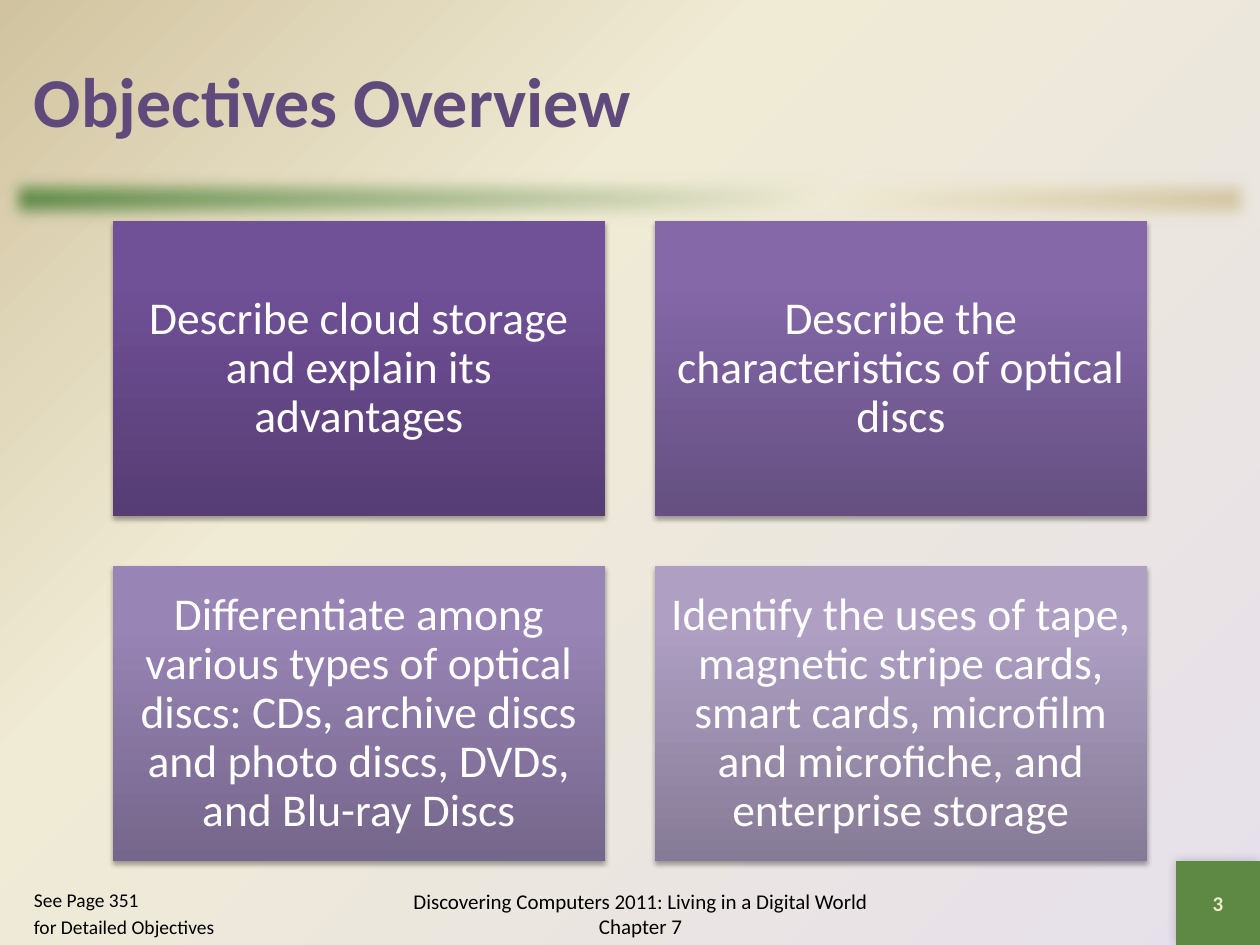
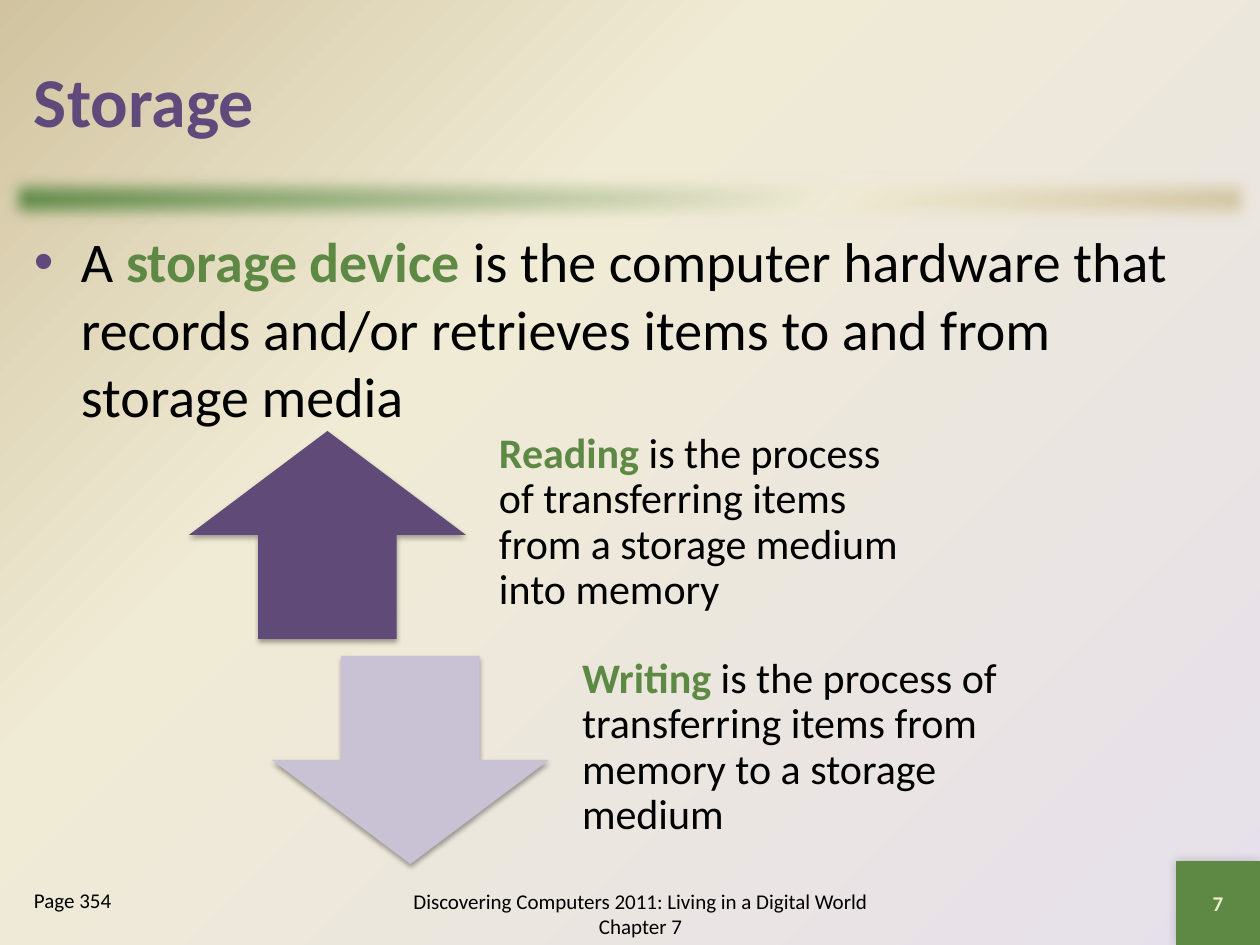
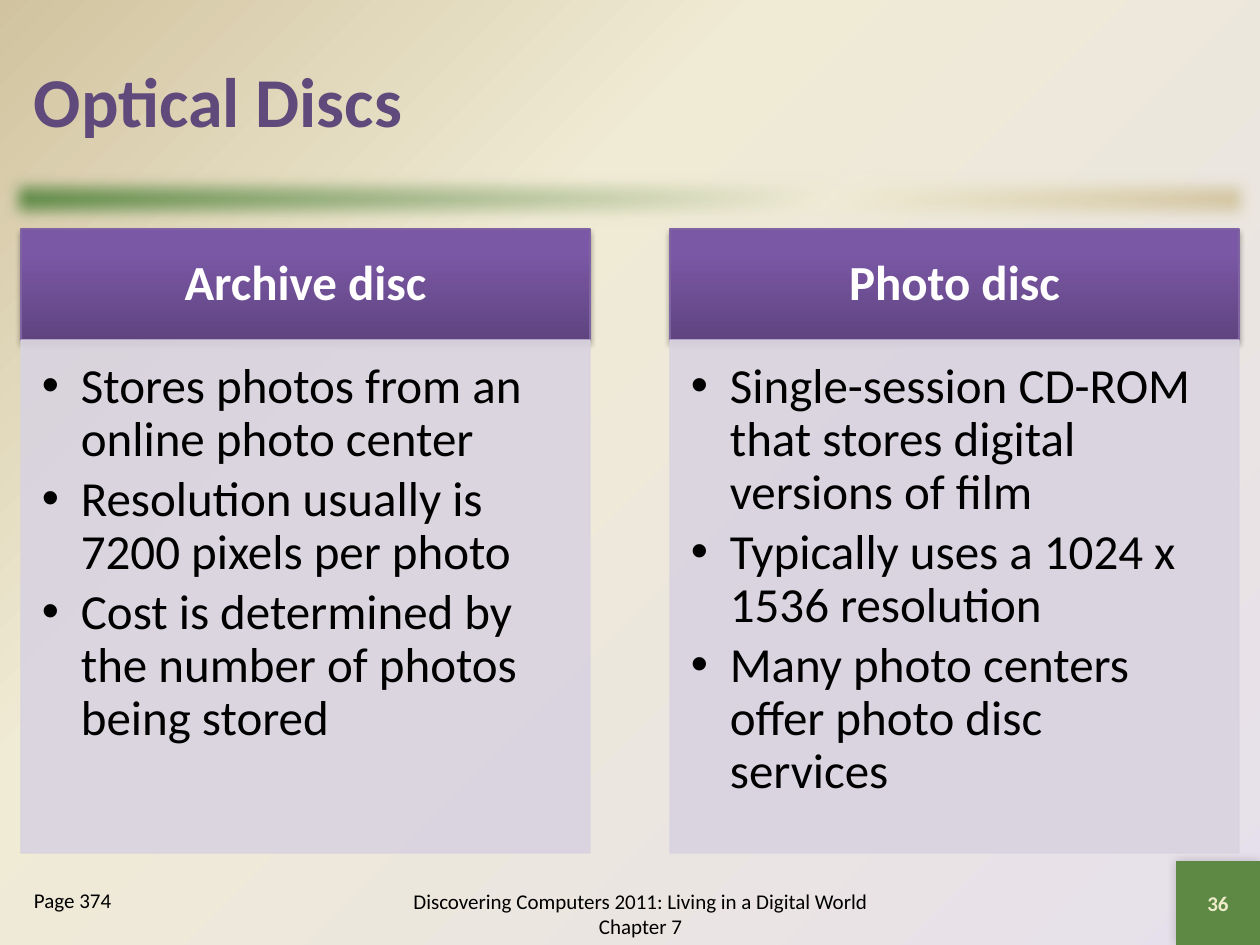
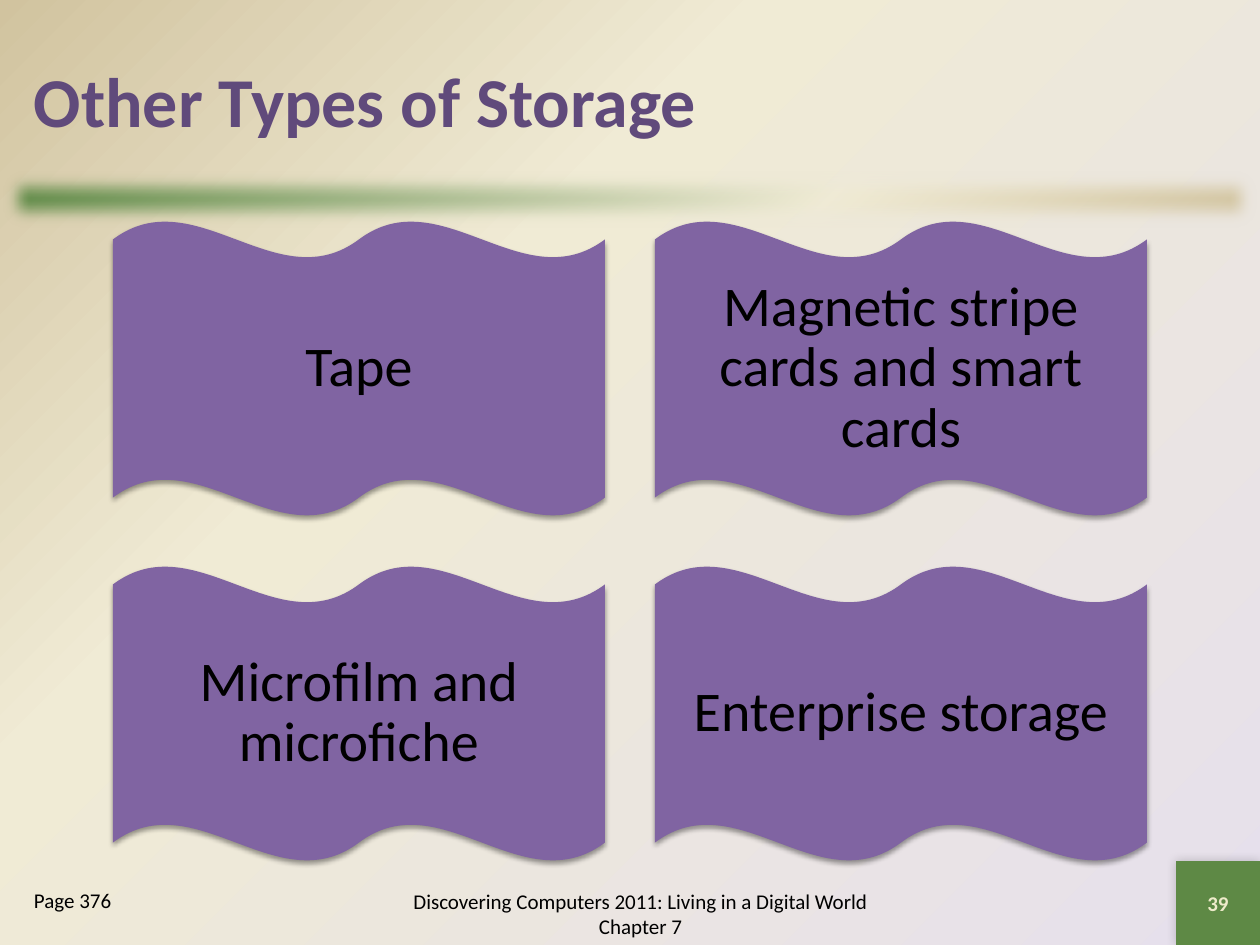
from dataclasses import dataclass

from pptx import Presentation
from pptx.dml.color import RGBColor
from pptx.enum.shapes import MSO_SHAPE as Kind
from pptx.enum.text import MSO_ANCHOR as Anchor, PP_ALIGN as Align
from pptx.oxml import parse_xml
from pptx.oxml.ns import nsdecls, qn
from pptx.util import Emu, Pt


# Colours, type sizes and spacing
@dataclass(frozen=True)
class Theme:
    font: str = "Calibri"
    black: str = "000000"
    white: str = "FFFFFF"
    cream: str = "EEEBCA"
    green: str = "5E8945"
    plum: str = "604A7B"
    wave: str = "8064A2"
    dark: str = "5F4A78"
    pale: str = "C9C2D4"
    panel: str = "D8D3E0"
    page: tuple = ((0, "E6E0EC"), (65, "F0EBD5"), (100, "D1C39F"))
    band: tuple = ((0, "5E8945"), (65, "F0EBD5"), (100, "D1C39F"))
    head: tuple = ((0, "5F4480"), (80, "7B58A6"), (100, "7C57A8"))
    tiles: tuple = (
        ((0, "563D74"), (80, "705097"), (100, "704F99")),
        ((0, "655081"), (80, "8468A8"), (100, "8467AA")),
        ((0, "75668B"), (80, "9884B5"), (100, "9984B7")),
        ((0, "867B96"), (80, "AE9FC3"), (100, "AE9FC4")),
    )
    title: int = 40
    body: int = 32
    list: int = 28
    tile: int = 26
    label: int = 24
    small: int = 12
    note: float = 11.1
    tight: float = 0.9


T = Theme()
SCALE = 914400 / 126
BOOK = "Discovering Computers 2011: Living in a Digital World Chapter 7"
UP = '<a:lin ang="16200000" scaled="0"/>'
SLANT = '<a:lin ang="2700000" scaled="0"/>'
CORNER = ('<a:path path="circle"><a:fillToRect l="100000" t="100000"/></a:path>'
          '<a:tileRect r="-100000" b="-100000"/>')


def px(num):
    return Emu(round(num * SCALE))


def rgb(code):
    return RGBColor.from_string(code)


# Fills and effects
def blend(fill, root, stops, course):
    fill.gradient()
    old = next(root.iter(qn("a:gradFill")))
    marks = "".join(
        f'<a:gs pos="{pos * 1000}"><a:srgbClr val="{tint}"/></a:gs>'
        for pos, tint in stops)
    new = parse_xml(f'<a:gradFill {nsdecls("a")} rotWithShape="1">'
                    f'<a:gsLst>{marks}</a:gsLst>{course}</a:gradFill>')
    old.getparent().replace(old, new)


def effect(shape, xml):
    root = shape._element.spPr.find(qn("a:effectLst"))
    root.append(parse_xml(xml.replace(" ", f' {nsdecls("a")} ', 1)))


def shade(shape, blur=3.1, dist=1.8, turn=90, alpha=35):
    effect(shape, f'<a:outerShdw blurRad="{Pt(blur)}" dist="{Pt(dist)}" '
                  f'dir="{turn * 60000}" rotWithShape="0">'
                  f'<a:srgbClr val="{T.black}"><a:alpha val="{alpha * 1000}"/>'
                  '</a:srgbClr></a:outerShdw>')


def fade(shape, alpha):
    for tint in shape._element.spPr.iter(qn("a:srgbClr")):
        tint.append(parse_xml(f'<a:alpha {nsdecls("a")} val="{alpha * 1000}"/>'))


# Shapes and text
def draw(slide, kind, box, paint, edge=None, course=UP):
    shape = slide.shapes.add_shape(kind, *map(px, box))
    shape.shadow.inherit = False
    if isinstance(paint, str):
        shape.fill.solid()
        shape.fill.fore_color.rgb = rgb(paint)
    else:
        blend(shape.fill, shape._element.spPr, paint, course)
    if edge:
        shape.line.color.rgb = rgb(edge)
        shape.line.width = Pt(0.75)
    else:
        shape.line.fill.background()
    return shape


def bullet(para, indent, tint):
    props = para._p.get_or_add_pPr()
    props.set("marL", str(px(indent)))
    props.set("indent", str(-px(indent)))
    for xml in (f'<a:buClr {nsdecls("a")}><a:srgbClr val="{tint}"/></a:buClr>',
                f'<a:buFont {nsdecls("a")} typeface="Arial"/>',
                f'<a:buChar {nsdecls("a")} char="•"/>'):
        props.append(parse_xml(xml))


def write(shape, lines, size, tint=T.black, bold=False, align=Align.LEFT,
          anchor=Anchor.MIDDLE, pad=(13, 6, 13, 6), pitch=None, gap=0,
          key=None, dot=None):
    """Fill a frame; a bar splits a line into runs, and key is the green one."""
    frame = shape.text_frame
    frame.word_wrap = True
    frame.vertical_anchor = anchor
    (frame.margin_left, frame.margin_top,
     frame.margin_right, frame.margin_bottom) = map(px, pad)
    for num, line in enumerate(lines):
        para = frame.add_paragraph() if num else frame.paragraphs[0]
        para.text, *rest = line.split("|")
        for part in rest:
            para.add_run().text = part
        if dot:
            bullet(para, *dot)
        para.alignment = align
        if pitch:
            para.line_spacing = pitch
        if num and gap:
            para.space_before = Pt(gap)
        for run in para.runs:
            term = run.text == key
            run.font.name = T.font
            run.font.size = Pt(size)
            run.font.bold = bold or term
            run.font.color.rgb = rgb(T.green if term else tint)


def label(slide, box, lines, size, **style):
    write(slide.shapes.add_textbox(*map(px, box)), lines, size, **style)


# Parts shared by every slide
def dress(master, host):
    blend(master.background.fill, master._element, T.page, CORNER)
    band = draw(host, Kind.RECTANGLE, (0, 168, 1260, 63), T.band, course=SLANT)
    effect(band, f'<a:softEdge rad="{Pt(10)}"/>')
    badge = draw(host, Kind.RECTANGLE, (1176, 861, 84, 84), T.green)
    shade(badge, 6, 0, 225, 20)
    tree = master.shapes._spTree
    for num, part in enumerate((band, badge), 20):
        part._element.nvSpPr.cNvPr.set("id", str(num))
        tree.append(part._element)


def start(prs, title, page, *notes):
    slide = prs.slides.add_slide(prs.slide_layouts[5])
    head = slide.shapes.title
    head.left, head.top, head.width, head.height = map(px, (21, 21, 1218, 158))
    write(head, [title], T.title, tint=T.plum, bold=True)
    label(slide, (378, 882, 525, 63), [BOOK], T.small, align=Align.CENTER)
    label(slide, (1176, 861, 84, 84), [page], T.small, tint=T.cream, bold=True,
          align=Align.CENTER)
    label(slide, (21, 882, 231, 63), notes, T.note if len(notes) > 1 else T.small,
          anchor=Anchor.TOP, gap=2.2)
    return slide


# Content parts
def grid(slide, kind, texts, paints, size, tint, pad, **cast):
    for num, (text, paint) in enumerate(zip(texts, paints)):
        row, col = divmod(num, 2)
        box = (113 + 542 * col, 221 + 345 * row, 492, 295)
        tile = draw(slide, kind, box, paint)
        shade(tile, **cast)
        write(tile, [text], size, tint=tint, align=Align.CENTER,
              pad=(pad,) * 4, pitch=T.tight)


def arrow(slide, kind, left, top, paint, term, text):
    shade(draw(slide, kind, (left, top, 277, 208), paint))
    label(slide, (left + 286, top, 470, 208), [f"{term}|{text}"], T.label,
          pad=(24, 0, 24, 24), pitch=T.tight, key=term)


def column(slide, left, name, points):
    head = draw(slide, Kind.RECTANGLE, (left, 229, 569, 111), T.head, T.wave)
    shade(head)
    write(head, [name], T.list, tint=T.white, bold=True, align=Align.CENTER,
          pad=(28, 15, 28, 15), pitch=T.tight)
    panel = draw(slide, Kind.RECTANGLE, (left, 340, 569, 513), T.panel, T.panel)
    fade(panel, 90)
    write(panel, points, T.list, anchor=Anchor.TOP, pad=(21, 21, 30, 30),
          pitch=T.tight, gap=4.2, dot=(39, T.black))


def main():
    prs = Presentation()
    prs.slide_width, prs.slide_height = px(1260), px(945)

    # Objectives
    slide = start(prs, "Objectives Overview", "3",
                  "See Page 351", "for Detailed Objectives")
    dress(prs.slide_master, slide)
    grid(slide, Kind.RECTANGLE, (
        "Describe cloud storage and explain its advantages",
        "Describe the characteristics of optical discs",
        "Differentiate among various types of optical discs: CDs, archive discs "
        "and photo discs, DVDs, and Blu-ray Discs",
        "Identify the uses of tape, magnetic stripe cards, smart cards, "
        "microfilm and microfiche, and enterprise storage",
    ), T.tiles, T.tile, T.white, 14)

    # Reading and writing
    slide = start(prs, "Storage", "7", "Page 354")
    label(slide, (21, 221, 1218, 640), [
        "A |storage device |is the computer hardware that records and/or "
        "retrieves items to and from storage media",
    ], T.body, anchor=Anchor.TOP, key="storage device ", dot=(47, T.plum))
    arrow(slide, Kind.UP_ARROW, 189, 431, T.dark, "Reading",
          " is the process of transferring items from a storage medium into memory")
    arrow(slide, Kind.DOWN_ARROW, 272, 656, T.pale, "Writing",
          " is the process of transferring items from memory to a storage medium")

    # Two kinds of disc
    slide = start(prs, "Optical Discs", "36", "Page 374")
    column(slide, 21, "Archive disc", (
        "Stores photos from an online photo center",
        "Resolution usually is 7200 pixels per photo",
        "Cost is determined by the number of photos being stored",
    ))
    column(slide, 670, "Photo disc", (
        "Single-session CD-ROM that stores digital versions of film",
        "Typically uses a 1024 x 1536 resolution",
        "Many photo centers offer photo disc services",
    ))

    # Other media
    slide = start(prs, "Other Types of Storage", "39", "Page 376")
    grid(slide, Kind.DOUBLE_WAVE, (
        "Tape",
        "Magnetic stripe cards and smart cards",
        "Microfilm and microfiche",
        "Enterprise storage",
    ), [T.wave] * 4, T.body, T.black, 16, dist=1.6, alpha=38)

    prs.save("out.pptx")


if __name__ == "__main__":
    main()
